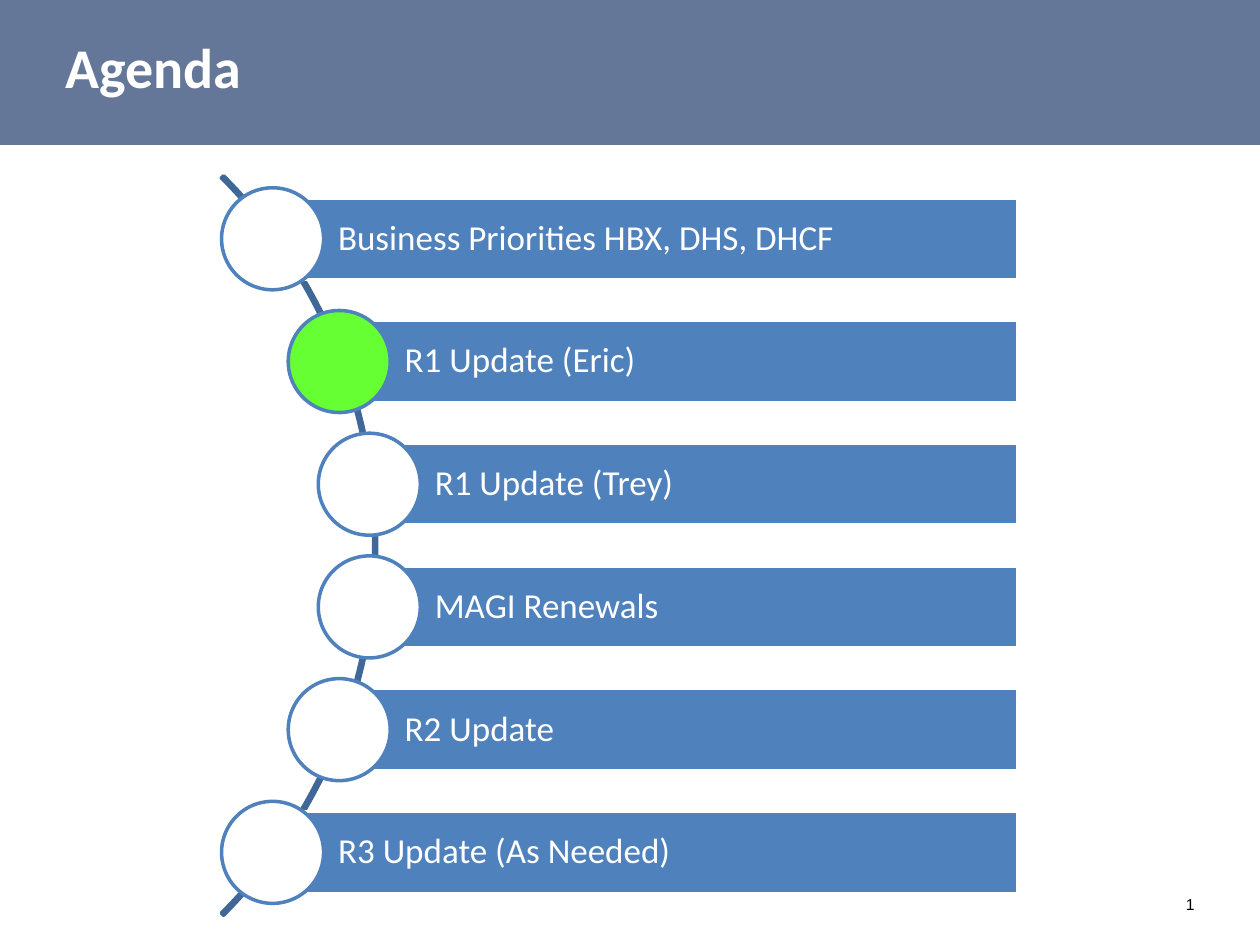
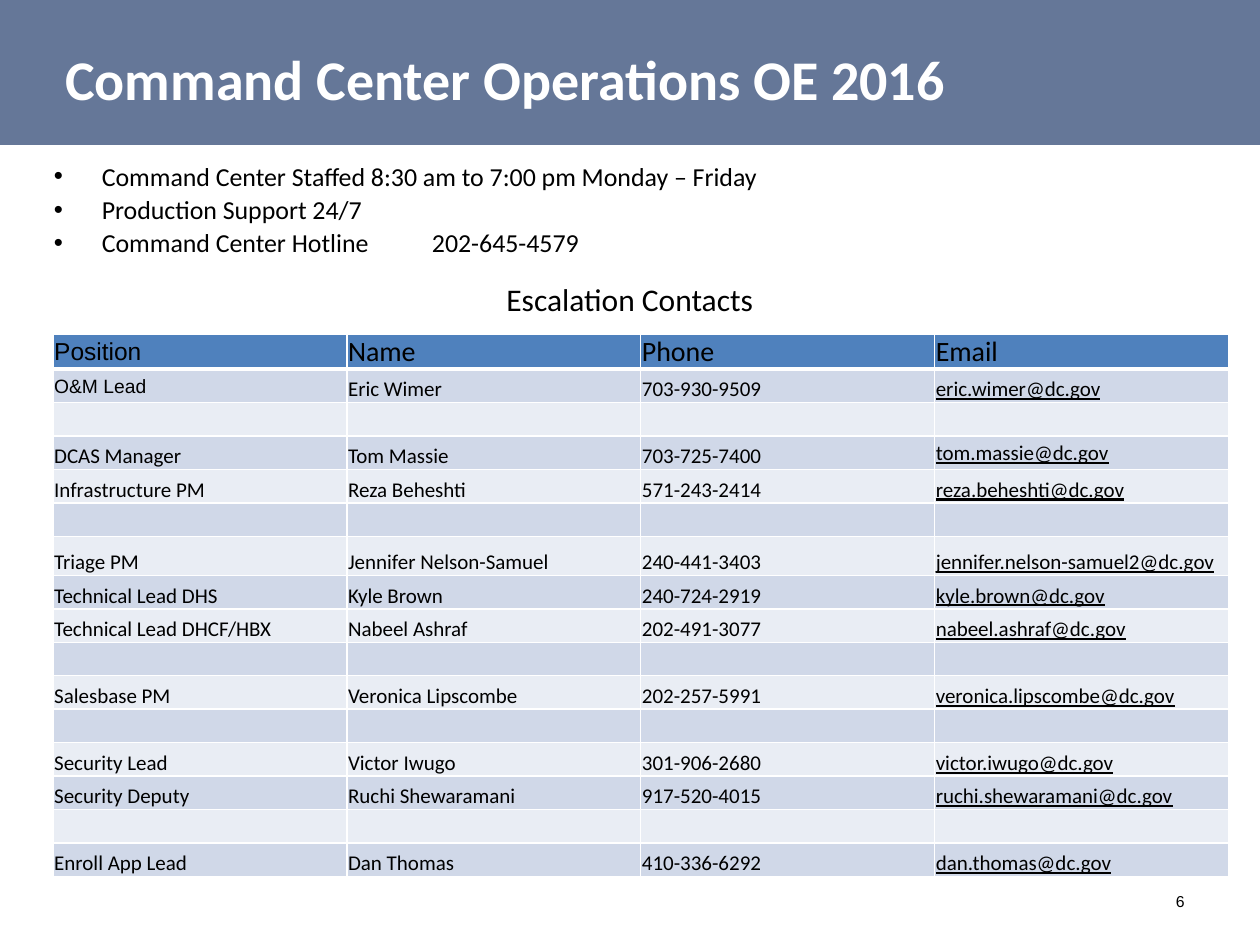
from dataclasses import dataclass
from math import sqrt

from lxml.etree import SubElement
from pptx import Presentation
from pptx.dml.color import RGBColor
from pptx.enum.shapes import MSO_SHAPE
from pptx.enum.text import MSO_ANCHOR, MSO_AUTO_SIZE, PP_ALIGN
from pptx.oxml.ns import qn
from pptx.util import Inches, Pt


@dataclass(frozen=True)
class Theme:
    # Colours
    band: str = "657798"
    accent: str = "4F81BD"
    arc: str = "3F6797"
    current: str = "66FF33"
    white: str = "FFFFFF"
    black: str = "000000"
    row_dark: str = "D0D8E8"
    row_light: str = "E9EDF4"
    # Fonts and type sizes
    font: str = "Calibri"
    plain_font: str = "Arial"
    title: float = 32
    agenda: float = 20
    heading: float = 18
    body: float = 14.8
    table_head: float = 16
    table_body: float = 12
    footer: float = 9


class Deck:
    def __init__(self, theme):
        self.theme = theme
        self.presentation = Presentation()
        self.presentation.slide_width = Inches(10)
        self.presentation.slide_height = Inches(7.5)
        self.slide = None

    def add_slide(self, title, title_box, title_anchor, number, number_box):
        """Start a slide with the shared band, title and page number."""
        theme = self.theme
        self.slide = self.presentation.slides.add_slide(self.presentation.slide_layouts[6])
        self.shape(MSO_SHAPE.RECTANGLE, (0, 0, 10, 1.15), theme.band)
        paragraph = self.text_box(title_box, title_anchor).paragraphs[0]
        self.run(paragraph, title, theme.title, theme.white, bold=True)
        paragraph = self.text_box(number_box, MSO_ANCHOR.MIDDLE).paragraphs[0]
        paragraph.alignment = PP_ALIGN.RIGHT
        self.run(paragraph, number, theme.footer, font=theme.plain_font)

    def shape(self, kind, box, fill=None, line=None):
        shape = self.slide.shapes.add_shape(kind, *map(Inches, box))
        shape.shadow.inherit = False
        if fill:
            shape.fill.solid()
            shape.fill.fore_color.rgb = RGBColor.from_string(fill)
        else:
            shape.fill.background()
        if line:
            shape.line.color.rgb = RGBColor.from_string(line)
            shape.line.width = Pt(2)
        else:
            shape.line.fill.background()
        return shape

    def text_box(self, box, anchor=MSO_ANCHOR.TOP):
        frame = self.slide.shapes.add_textbox(*map(Inches, box)).text_frame
        frame.word_wrap = True
        frame.vertical_anchor = anchor
        return frame

    def run(self, paragraph, text, size, color=None, font=None, bold=False, underline=False):
        run = paragraph.add_run()
        run.text = text
        run.font.name = font or self.theme.font
        run.font.size = Pt(size)
        run.font.bold = bold
        run.font.underline = underline
        run.font.color.rgb = RGBColor.from_string(color or self.theme.black)

    def agenda_item(self, text, center_x, center_y, marker_fill):
        """A bar that starts at the middle of its round marker."""
        theme = self.theme
        bar_height, bar_right, diameter = 0.65, 8.08, 0.81
        bar = self.shape(
            MSO_SHAPE.RECTANGLE,
            (center_x, center_y - bar_height / 2, bar_right - center_x, bar_height),
            theme.accent, theme.white)
        frame = bar.text_frame
        frame.word_wrap = True
        frame.vertical_anchor = MSO_ANCHOR.MIDDLE
        frame.margin_left = Inches(0.52)
        frame.margin_right = frame.margin_top = frame.margin_bottom = Inches(0.06)
        paragraph = frame.paragraphs[0]
        paragraph.alignment = PP_ALIGN.LEFT
        paragraph.line_spacing = 0.9
        self.run(paragraph, text, theme.agenda, theme.white)
        self.shape(
            MSO_SHAPE.OVAL,
            (center_x - diameter / 2, center_y - diameter / 2, diameter, diameter),
            marker_fill, theme.accent)

    def bullets(self, box, lines):
        frame = self.text_box(box)
        for index, line in enumerate(lines):
            paragraph = frame.add_paragraph() if index else frame.paragraphs[0]
            paragraph.line_spacing = 0.9
            paragraph.space_before = Pt(3)
            properties = paragraph._p.get_or_add_pPr()
            properties.set("marL", str(Inches(0.38)))
            properties.set("indent", str(-Inches(0.38)))
            SubElement(properties, qn("a:buFont"), typeface=self.theme.plain_font)
            SubElement(properties, qn("a:buChar"), char="•")
            self.run(paragraph, line, self.theme.body)

    def heading(self, box, text):
        frame = self.text_box(box)
        frame.word_wrap = False
        frame.auto_size = MSO_AUTO_SIZE.SHAPE_TO_FIT_TEXT
        self.run(frame.paragraphs[0], text, self.theme.heading)

    def border(self, cell, side, width):
        line = SubElement(cell._tc.get_or_add_tcPr(), qn("a:ln" + side), w=str(Pt(width)))
        fill = SubElement(line, qn("a:solidFill"))
        SubElement(fill, qn("a:srgbClr"), val=self.theme.white)

    def cell(self, cell, text, size, fill, top, bottom, font=None,
             anchor=MSO_ANCHOR.BOTTOM, underline=False):
        cell.margin_left = cell.margin_right = cell.margin_top = Inches(0.01)
        cell.margin_bottom = 0
        cell.vertical_anchor = anchor
        for side, width in (("L", 1), ("R", 1), ("T", top), ("B", bottom)):
            self.border(cell, side, width)
        cell.fill.solid()
        cell.fill.fore_color.rgb = RGBColor.from_string(fill)
        paragraph = cell.text_frame.paragraphs[0]
        if text:
            self.run(paragraph, text, size, font=font, underline=underline)
        else:
            SubElement(paragraph._p, qn("a:endParaRPr"), sz=str(int(size * 100)))

    def contact_table(self, box, rows, fixed_heights, special_cells):
        """The header row is filled, the others alternate; e-mails are underlined."""
        theme = self.theme
        columns = len(rows[0])
        table = self.slide.shapes.add_table(len(rows), columns, *map(Inches, box)).table
        for column in table.columns:
            column.width = Inches(box[2] / columns)
        shared = (box[3] - sum(fixed_heights.values())) / (len(rows) - len(fixed_heights))
        for row_index, row in enumerate(rows):
            table.rows[row_index].height = Inches(fixed_heights.get(row_index, shared))
            header = row_index == 0
            band = theme.row_dark if row_index % 2 else theme.row_light
            for column_index in range(columns):
                text = row[column_index] if row else ""
                options = {
                    "size": theme.table_head if header else theme.table_body,
                    "fill": theme.accent if header else band,
                    "top": 3 if row_index == 1 else 1,
                    "bottom": 3 if header else 1,
                    "underline": "@" in text,
                }
                options.update(special_cells.get((row_index, column_index), {}))
                self.cell(table.cell(row_index, column_index), text, **options)


theme = Theme()
deck = Deck(theme)

# Slide 1: agenda along an arc
deck.add_slide("Agenda", (0.42, 0.17, 7.57, 0.67), MSO_ANCHOR.BOTTOM,
               "1", (9.01, 6.98, 0.57, 0.4))

arc_x, arc_y, arc_radius = -1.16, 4.33, 4.15
arc = deck.shape(
    MSO_SHAPE.BLOCK_ARC,
    (arc_x - arc_radius, arc_y - arc_radius, 2 * arc_radius, 2 * arc_radius),
    line=theme.arc)
for index, value in enumerate((189, 27, 0.003)):
    arc.adjustments[index] = value

agenda = [
    "Business Priorities HBX, DHS, DHCF",
    "R1 Update (Eric)",
    "R1 Update (Trey)",
    "MAGI Renewals",
    "R2 Update",
    "R3 Update (As Needed)",
]
current_item = 1
pitch, marker_radius = 0.974, 4.12
for index, text in enumerate(agenda):
    offset = (index - (len(agenda) - 1) / 2) * pitch
    center_x = arc_x + sqrt(marker_radius ** 2 - offset ** 2)
    marker = theme.current if index == current_item else theme.white
    deck.agenda_item(text, center_x, arc_y + offset, marker)

# Slide 2: command center and contacts
deck.add_slide("Command Center Operations OE 2016", (0.42, 0.33, 7.83, 0.58),
               MSO_ANCHOR.MIDDLE, "6", (7.17, 6.95, 2.33, 0.4))
deck.bullets((0.33, 1.25, 8.42, 1.75), [
    "Command Center Staffed 8:30 am to 7:00 pm Monday – Friday",
    "Production Support 24/7",
    "Command Center Hotline \t202-645-4579",
])

blank = ()
contacts = [
    ("Position", "Name", "Phone", "Email"),
    ("O&M Lead", "Eric Wimer", "703-930-9509", "eric.wimer@dc.gov"),
    blank,
    ("DCAS Manager", "Tom Massie", "703-725-7400", "tom.massie@dc.gov"),
    ("Infrastructure PM", "Reza Beheshti", "571-243-2414", "reza.beheshti@dc.gov"),
    blank,
    ("Triage PM", "Jennifer Nelson-Samuel", "240-441-3403", "jennifer.nelson-samuel2@dc.gov"),
    ("Technical Lead DHS", "Kyle Brown", "240-724-2919", "kyle.brown@dc.gov"),
    ("Technical Lead DHCF/HBX", "Nabeel Ashraf", "202-491-3077", "nabeel.ashraf@dc.gov"),
    blank,
    ("Salesbase PM", "Veronica Lipscombe", "202-257-5991", "veronica.lipscombe@dc.gov"),
    blank,
    ("Security Lead", "Victor Iwugo", "301-906-2680", "victor.iwugo@dc.gov"),
    ("Security Deputy", "Ruchi Shewaramani", "917-520-4015", "ruchi.shewaramani@dc.gov"),
    blank,
    ("Enroll App Lead", "Dan Thomas", "410-336-6292", "dan.thomas@dc.gov"),
]
middle = {"anchor": MSO_ANCHOR.MIDDLE}
deck.contact_table(
    (0.42, 2.65, 9.33, 4.31), contacts,
    fixed_heights={0: 0.28, 6: 0.31},
    special_cells={
        (0, 0): {"size": 14, "font": theme.plain_font, **middle},
        (1, 0): {"size": 11, "font": theme.plain_font, **middle},
        (3, 3): middle,
    })
deck.heading((3.92, 2.17, 2.19, 0.4), "Escalation Contacts")

deck.presentation.save("out.pptx")
